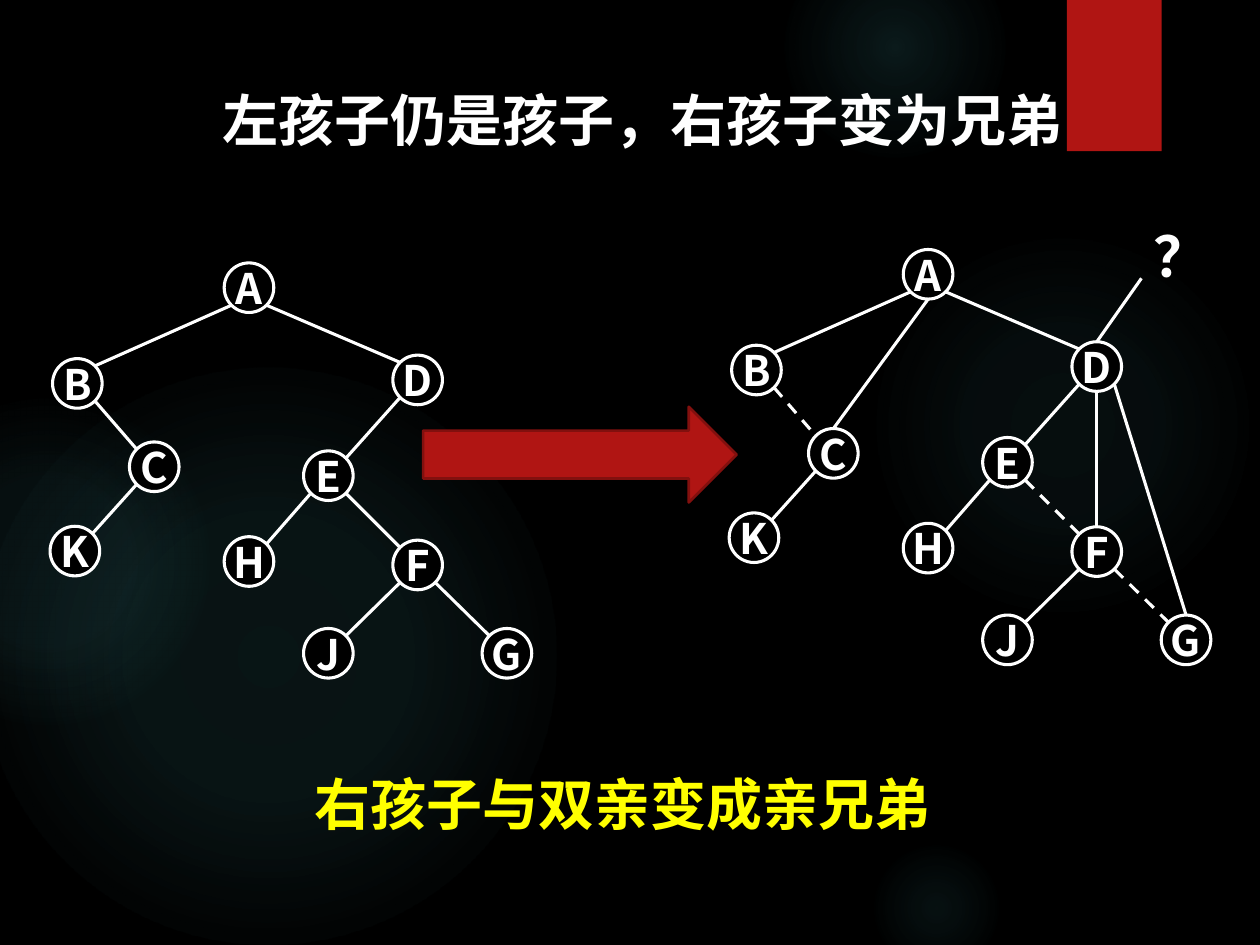
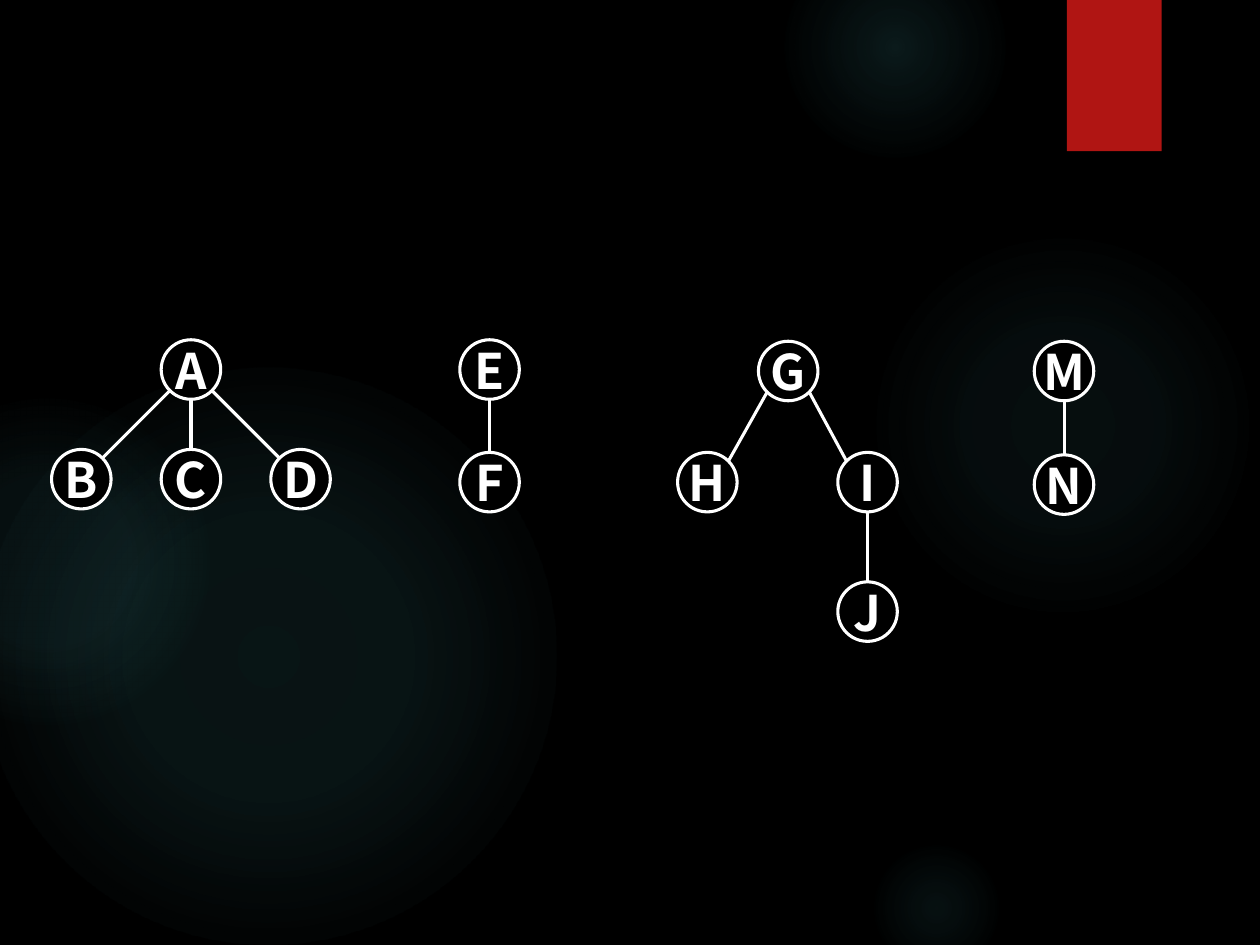
from dataclasses import dataclass
from math import sqrt

from pptx import Presentation
from pptx.dml.color import RGBColor
from pptx.enum.dml import MSO_LINE
from pptx.enum.shapes import MSO_CONNECTOR, MSO_SHAPE
from pptx.enum.text import MSO_ANCHOR, PP_ALIGN
from pptx.oxml import parse_xml
from pptx.oxml.ns import nsdecls
from pptx.slide import Slide
from pptx.text.text import TextFrame
from pptx.util import Cm, Pt

COLORS = {
    "background": "000000",
    "ink": "FFFFFF",
    "accent": "B01513",
    "accent_edge": "82100E",
    "conclusion": "FFFF00",
    "glow": "50B9C1",
}
CJK_FONT = "Noto Sans CJK SC"
STROKE = Pt(1.75)
DIAGONAL = 1 / sqrt(2)
SITES = {
    "n": (0, -1),
    "s": (0, 1),
    "nw": (-DIAGONAL, -DIAGONAL),
    "ne": (DIAGONAL, -DIAGONAL),
    "sw": (-DIAGONAL, DIAGONAL),
    "se": (DIAGONAL, DIAGONAL),
}


@dataclass(frozen=True)
class Glow:
    left: float
    top: float
    diameter: float
    stops: tuple[tuple[int, int], ...]


@dataclass(frozen=True)
class Node:
    label: str
    x: float
    y: float


@dataclass(frozen=True)
class Edge:
    parent: str
    child: str
    leave: str = ""
    enter: str = ""
    dashed: bool = False


@dataclass(frozen=True)
class Tree:
    nodes: tuple[Node, ...]
    edges: tuple[Edge, ...]
    diameter: float
    font_size: int


@dataclass(frozen=True)
class Caption:
    text: str
    left: float
    top: float
    width: float
    font: str
    color: str
    align: PP_ALIGN = PP_ALIGN.LEFT


GLOWS = (
    Glow(17.5, 4.66, 7.83, ((0, 7), (36, 6), (69, 0))),
    Glow(15.81, -1.27, 4.45, ((0, 14), (36, 7), (73, 0))),
    Glow(17.5, 16.93, 2.75, ((0, 9), (36, 5), (66, 0))),
    Glow(-0.42, 7.41, 11.64, ((0, 11), (36, 10), (75, 0))),
    Glow(-2.33, 8.04, 6.56, ((0, 8), (36, 8), (72, 0))),
)

BINARY_NODES = (
    Node("A", 5.02, 5.8),
    Node("B", 1.56, 7.73),
    Node("C", 3.11, 9.41),
    Node("K", 1.51, 11.11),
    Node("D", 8.42, 7.66),
    Node("E", 6.62, 9.59),
    Node("H", 5.02, 11.32),
    Node("F", 8.42, 11.39),
    Node("J", 6.62, 13.17),
    Node("G", 10.22, 13.17),
)
KEPT_EDGES = tuple(Edge(*pair) for pair in ("AB", "AD", "CK", "DE", "EH", "FJ"))
RIGHT_CHILDREN = ("BC", "EF", "FG")
SHIFT_X, SHIFT_Y = 13.69, -0.27

BINARY_TREE = Tree(
    BINARY_NODES,
    KEPT_EDGES + tuple(Edge(*pair) for pair in RIGHT_CHILDREN),
    1.0,
    24,
)
SIBLING_TREE = Tree(
    tuple(Node(n.label, n.x + SHIFT_X, n.y + SHIFT_Y) for n in BINARY_NODES),
    KEPT_EDGES
    + tuple(Edge(*pair, dashed=True) for pair in RIGHT_CHILDREN)
    + (Edge("A", "C", "s", "n"), Edge("D", "F"), Edge("D", "G", "se", "n")),
    1.0,
    24,
)
FOREST = Tree(
    (
        Node("A", 3.85, 7.45),
        Node("B", 1.64, 9.66),
        Node("C", 3.85, 9.66),
        Node("D", 6.06, 9.66),
        Node("E", 9.87, 7.45),
        Node("F", 9.87, 9.72),
        Node("G", 15.89, 7.48),
        Node("H", 14.26, 9.72),
        Node("I", 17.49, 9.72),
        Node("J", 17.49, 12.33),
        Node("M", 21.45, 7.48),
        Node("N", 21.45, 9.77),
    ),
    tuple(Edge(*pair) for pair in ("AB", "AC", "AD", "EF", "GH", "GI", "IJ", "MN")),
    1.2,
    28,
)

CAPTIONS = (
    Caption("左孩子仍是孩子，右孩子变为兄弟", 4.24, 1.6, 17.68, "Arial", "ink"),
    Caption("右孩子与双亲变成亲兄弟", 6.02, 15.39, 13.08, CJK_FONT, "conclusion", PP_ALIGN.CENTER),
    Caption("？", 23.01, 4.34, 1.8, "Quicksand", "ink"),
)


def rgb(name: str) -> RGBColor:
    return RGBColor.from_string(COLORS[name])


def write(frame: TextFrame, text: str, size: int, font: str, color: str, align: PP_ALIGN) -> None:
    frame.text = text
    frame.word_wrap = False
    paragraph = frame.paragraphs[0]
    paragraph.alignment = align
    run = paragraph.runs[0]
    run.font.size = Pt(size)
    run.font.bold = True
    run.font.color.rgb = rgb(color)
    run.font.name = font
    run.font._element.append(parse_xml(f'<a:ea {nsdecls("a")} typeface="{CJK_FONT}"/>'))


def add_block(slide: Slide, kind: MSO_SHAPE, left: float, top: float,
              width: float, height: float, fill: str):
    block = slide.shapes.add_shape(kind, Cm(left), Cm(top), Cm(width), Cm(height))
    block.shadow.inherit = False
    block.fill.solid()
    block.fill.fore_color.rgb = rgb(fill)
    block.line.fill.background()
    return block


def add_glow(slide: Slide, glow: Glow) -> None:
    halo = add_block(slide, MSO_SHAPE.OVAL, glow.left, glow.top,
                     glow.diameter, glow.diameter, "glow")
    stops = "".join(
        f'<a:gs pos="{position * 1000}"><a:srgbClr val="{COLORS["glow"]}">'
        f'<a:alpha val="{alpha * 1000}"/></a:srgbClr></a:gs>'
        for position, alpha in glow.stops
    )
    gradient = parse_xml(
        f'<a:gradFill {nsdecls("a")}><a:gsLst>{stops}</a:gsLst><a:path path="circle">'
        '<a:fillToRect l="50000" t="50000" r="50000" b="50000"/></a:path></a:gradFill>'
    )
    properties = halo.element.spPr
    properties.replace(properties.find("{*}solidFill"), gradient)


def add_line(slide: Slide, start: tuple[float, float], end: tuple[float, float],
             dashed: bool = False) -> None:
    link = slide.shapes.add_connector(
        MSO_CONNECTOR.STRAIGHT, *(Cm(value) for value in (*start, *end))
    )
    link.line.color.rgb = rgb("ink")
    link.line.width = STROKE
    if dashed:
        link.line.dash_style = MSO_LINE.DASH
    link.element.spPr.append(parse_xml(f'<a:effectLst {nsdecls("a")}/>'))


def site_point(node: Node, site: str, diameter: float) -> tuple[float, float]:
    dx, dy = SITES[site]
    return node.x + dx * diameter / 2, node.y + dy * diameter / 2


def default_sites(parent: Node, child: Node) -> tuple[str, str]:
    if child.x == parent.x:
        return "s", "n"
    return ("sw", "ne") if child.x < parent.x else ("se", "nw")


def add_tree(slide: Slide, tree: Tree) -> None:
    radius = tree.diameter / 2
    for node in tree.nodes:
        circle = add_block(slide, MSO_SHAPE.OVAL, node.x - radius, node.y - radius,
                           tree.diameter, tree.diameter, "background")
        circle.line.color.rgb = rgb("ink")
        circle.line.width = STROKE
        circle.text_frame.vertical_anchor = MSO_ANCHOR.MIDDLE
        write(circle.text_frame, node.label, tree.font_size, CJK_FONT, "ink", PP_ALIGN.CENTER)
    by_label = {node.label: node for node in tree.nodes}
    for edge in tree.edges:
        parent, child = by_label[edge.parent], by_label[edge.child]
        leave, enter = default_sites(parent, child)
        add_line(
            slide,
            site_point(parent, edge.leave or leave, tree.diameter),
            site_point(child, edge.enter or enter, tree.diameter),
            edge.dashed,
        )


def add_caption(slide: Slide, caption: Caption) -> None:
    box = slide.shapes.add_textbox(
        Cm(caption.left), Cm(caption.top), Cm(caption.width), Cm(1.63)
    )
    write(box.text_frame, caption.text, 32, caption.font, caption.color, caption.align)


def add_themed_slide(deck) -> Slide:
    slide = deck.slides.add_slide(deck.slide_layouts[6])
    slide.background.fill.solid()
    slide.background.fill.fore_color.rgb = rgb("background")
    for glow in GLOWS:
        add_glow(slide, glow)
    add_block(slide, MSO_SHAPE.RECTANGLE, 21.51, 0, 1.91, 3.05, "accent")
    return slide


def build_conversion(deck) -> None:
    slide = add_themed_slide(deck)
    add_tree(slide, BINARY_TREE)
    arrow = add_block(slide, MSO_SHAPE.RIGHT_ARROW, 8.53, 8.2, 6.32, 1.93, "accent")
    arrow.line.color.rgb = rgb("accent_edge")
    arrow.line.width = Pt(1.5)
    add_tree(slide, SIBLING_TREE)
    for caption in CAPTIONS:
        add_caption(slide, caption)
    questioned = next(node for node in SIBLING_TREE.nodes if node.label == "D")
    add_line(slide, (23.01, 5.61), site_point(questioned, "n", SIBLING_TREE.diameter))


def main() -> None:
    deck = Presentation()
    deck.slide_width, deck.slide_height = Cm(25.4), Cm(19.05)
    build_conversion(deck)
    add_tree(add_themed_slide(deck), FOREST)
    deck.save("out.pptx")


if __name__ == "__main__":
    main()
